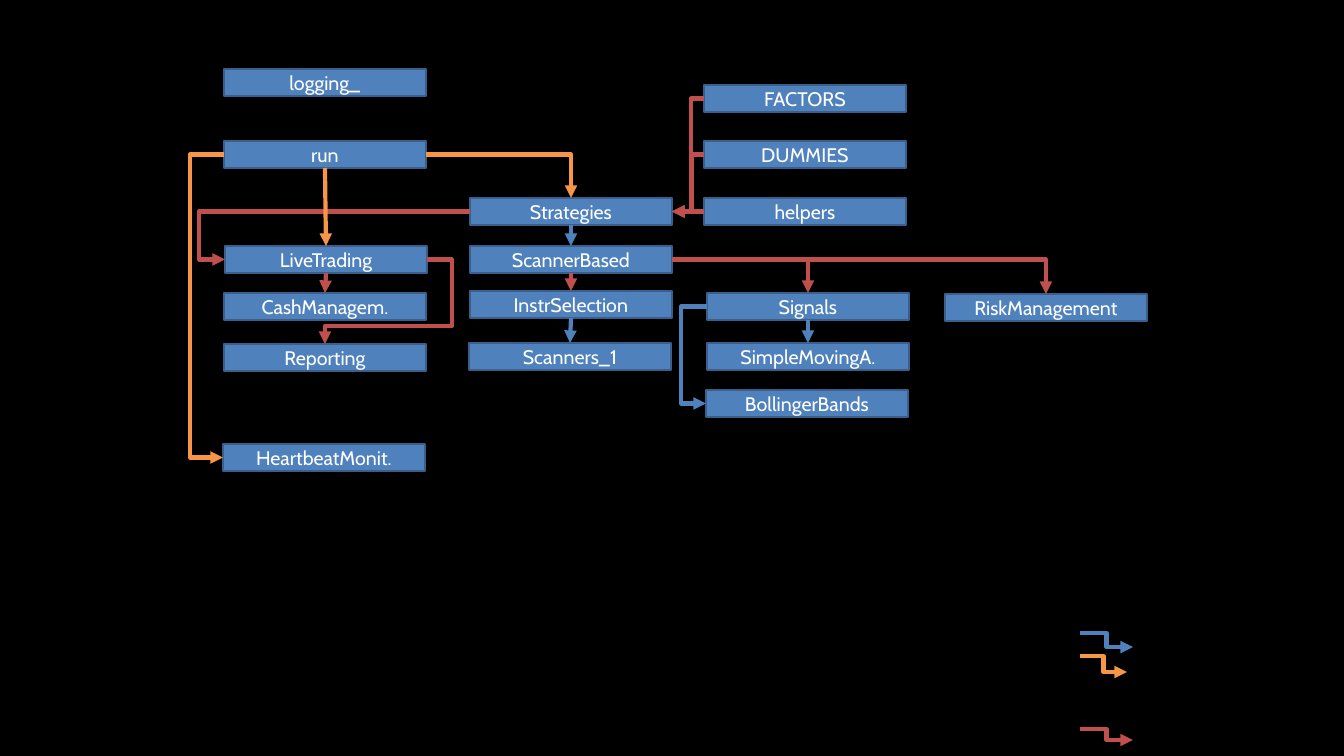
from pptx import Presentation
from pptx import util as u
from pptx.dml.color import RGBColor
from pptx.enum import shapes, text
from pptx.oxml.ns import qn
from lxml import etree

BLACK = RGBColor(0x00, 0x00, 0x00)
WHITE = RGBColor(0xFF, 0xFF, 0xFF)
BLUE = RGBColor(0x4F, 0x81, 0xBD)
NAVY = RGBColor(0x3A, 0x5F, 0x8C)
RED = RGBColor(0xC0, 0x50, 0x4D)
ORANGE = RGBColor(0xF7, 0x96, 0x46)

EMU_PER_PX = 9071.43
SLIDE_W, SLIDE_H = 1344, 756
BOX_W, BOX_H = 202, 27
TOP, LEFT, BOTTOM, RIGHT = range(4)

# module name: left, top
MODULES = {
    "logging_": (224, 69),
    "run": (224, 141),
    "LiveTrading": (225, 246),
    "CashManagem.": (224, 293),
    "Reporting": (224, 344),
    "HeartbeatMonit.": (223, 444),
    "Strategies": (470, 198),
    "ScannerBased": (470, 246),
    "InstrSelection": (470, 291),
    "Scanners_1": (469, 343),
    "FACTORS": (704, 85),
    "DUMMIES": (704, 141),
    "helpers": (704, 198),
    "Signals": (707, 293),
    "SimpleMovingA.": (707, 343),
    "BollingerBands": (706, 390),
    "RiskManagement": (945, 294),
}

# from, side, to, side, colour, bends (x or x, y of the middle runs)
STRAIGHT, CORNER = None, ()
LINKS = [
    ("Strategies", BOTTOM, "ScannerBased", TOP, BLUE, STRAIGHT),
    ("LiveTrading", BOTTOM, "CashManagem.", TOP, RED, STRAIGHT),
    ("LiveTrading", RIGHT, "Reporting", TOP, RED, (452, 326)),
    ("InstrSelection", BOTTOM, "Scanners_1", TOP, BLUE, STRAIGHT),
    ("Signals", BOTTOM, "SimpleMovingA.", TOP, BLUE, STRAIGHT),
    ("Signals", LEFT, "BollingerBands", LEFT, BLUE, (681,)),
    ("ScannerBased", BOTTOM, "InstrSelection", TOP, RED, STRAIGHT),
    ("ScannerBased", RIGHT, "Signals", TOP, RED, CORNER),
    ("ScannerBased", RIGHT, "RiskManagement", TOP, RED, CORNER),
    ("Strategies", LEFT, "LiveTrading", LEFT, RED, (199,)),
    ("run", BOTTOM, "LiveTrading", TOP, ORANGE, STRAIGHT),
    ("run", RIGHT, "Strategies", TOP, ORANGE, CORNER),
    ("run", LEFT, "HeartbeatMonit.", LEFT, ORANGE, (190,)),
    ("helpers", LEFT, "Strategies", RIGHT, RED, STRAIGHT),
    ("DUMMIES", LEFT, "Strategies", RIGHT, RED, (692,)),
    ("FACTORS", LEFT, "Strategies", RIGHT, RED, (691,)),
]

# colour, start, end
LEGEND = [
    (BLUE, (1080, 633), (1133, 647)),
    (ORANGE, (1080, 656), (1127, 672)),
    (RED, (1080, 729), (1133, 740)),
]


def px(n):
    """Turn pixels into EMU."""
    return u.Emu(round(n * EMU_PER_PX))


def site(name, side):
    """Return the middle of one side of a module box."""
    x, y = MODULES[name]
    dx, dy = {TOP: (0.5, 0), LEFT: (0, 0.5),
              BOTTOM: (0.5, 1), RIGHT: (1, 0.5)}[side]
    return x + dx * BOX_W, y + dy * BOX_H


def add_module(s, name, x, y):
    """Draw one labelled module box."""
    sp = s.shapes.add_shape(shapes.MSO_SHAPE.RECTANGLE,
                            px(x), px(y), px(BOX_W), px(BOX_H))
    sp.shadow.inherit = False
    sp.fill.solid()
    sp.fill.fore_color.rgb = BLUE
    sp.line.color.rgb = NAVY
    sp.line.width = u.Pt(1)
    tf = sp.text_frame
    tf.vertical_anchor = text.MSO_ANCHOR.MIDDLE
    p = tf.paragraphs[0]
    p.alignment = text.PP_ALIGN.CENTER
    r = p.add_run()
    r.text = name
    for key, value in {"name": "Cabin", "size": u.Pt(14)}.items():
        setattr(r.font, key, value)
    r.font.color.rgb = WHITE
    return sp


def add_arrow(s, start, end, color, bends):
    """Draw an arrow, straight or bent at the given places."""
    kinds = shapes.MSO_CONNECTOR
    kind = kinds.STRAIGHT if bends is STRAIGHT else kinds.ELBOW
    c = s.shapes.add_connector(kind, *map(px, start + end))
    c.line.color.rgb = color
    c.line.width = u.Pt(3)
    props = c.line._get_or_add_ln()
    etree.SubElement(props, qn("a:tailEnd"), type="triangle")
    sp_pr = c._element.spPr
    etree.SubElement(sp_pr, qn("a:effectLst"))
    if bends is not STRAIGHT:
        geom = sp_pr.find(qn("a:prstGeom"))
        geom.set("prst", f"bentConnector{len(bends) + 2}")
        guides = geom.find(qn("a:avLst"))
        for i, (bend, a, b) in enumerate(zip(bends, start, end), 1):
            share = round((bend - a) / (b - a) * 100000)
            etree.SubElement(guides, qn("a:gd"), name=f"adj{i}",
                             fmla=f"val {share}")
    return c


prs = Presentation()
prs.slide_width, prs.slide_height = px(SLIDE_W), px(SLIDE_H)
s = prs.slides.add_slide(prs.slide_layouts[6])
s.background.fill.solid()
s.background.fill.fore_color.rgb = BLACK

boxes = {name: add_module(s, name, *at) for name, at in MODULES.items()}
for source, out, target, into, color, bends in LINKS:
    c = add_arrow(s, site(source, out), site(target, into), color, bends)
    c.begin_connect(boxes[source], out)
    c.end_connect(boxes[target], into)
for color, start, end in LEGEND:
    add_arrow(s, start, end, color, ((start[0] + end[0]) / 2,))

prs.save("out.pptx")
